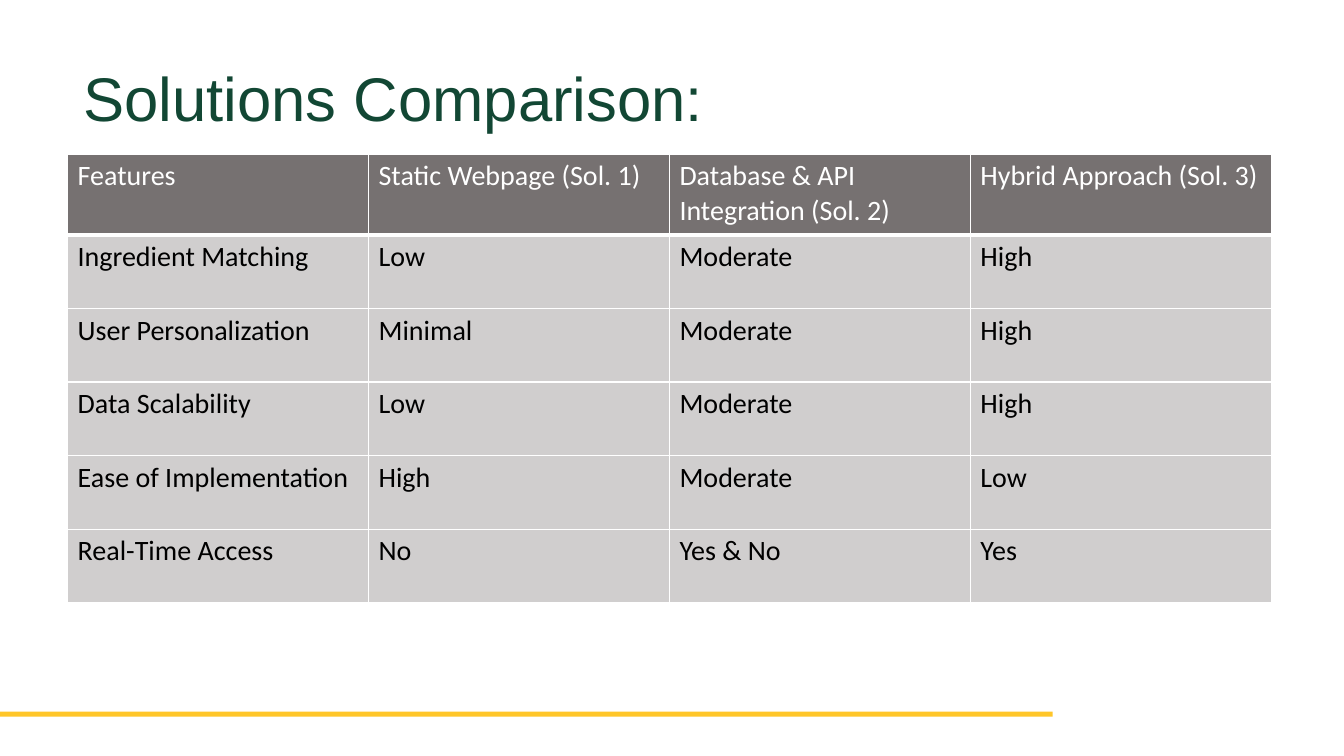
from lxml import etree
from pptx import Presentation
from pptx.dml.color import RGBColor
from pptx.enum.shapes import MSO_SHAPE
from pptx.enum.text import MSO_ANCHOR
from pptx.oxml.ns import qn
from pptx.util import Inches, Pt

# Content
TITLE = "Solutions Comparison:"
ROWS = [
    ("Features", "Static Webpage (Sol. 1)", "Database & API Integration (Sol. 2)",
     "Hybrid Approach (Sol. 3)"),
    ("Ingredient Matching", "Low", "Moderate", "High"),
    ("User Personalization", "Minimal", "Moderate", "High"),
    ("Data Scalability", "Low", "Moderate", "High"),
    ("Ease of Implementation", "High", "Moderate", "Low"),
    ("Real-Time Access", "No", "Yes & No", "Yes"),
]

# Style
GREEN = RGBColor(0x12, 0x47, 0x34)
GOLD = RGBColor(0xFF, 0xC6, 0x29)
WHITE = RGBColor(0xFF, 0xFF, 0xFF)
BLACK = RGBColor(0, 0, 0)
HEADER_GRAY = RGBColor(0x76, 0x71, 0x71)
BODY_GRAY = RGBColor(0xD0, 0xCE, 0xCE)
RECTANGLE = MSO_SHAPE.RECTANGLE
MIDDLE = MSO_ANCHOR.MIDDLE

# Layout, in inches
TABLE_WIDTH = 11.94
HEADER_HEIGHT, ROW_HEIGHT = 0.8, 0.73


def write_text(text_frame, text, *, font, size, color, line_spacing=None):
    text_frame.word_wrap = True
    paragraph = text_frame.paragraphs[0]
    paragraph.line_spacing = line_spacing
    run = paragraph.add_run()
    run.text = text
    run.font.name = font
    run.font.size = Pt(size)
    run.font.color.rgb = color


def add_borders(cell, **widths):
    properties = cell._tc.get_or_add_tcPr()
    for side in "LRTB":
        line = etree.SubElement(properties, qn(f"a:ln{side}"), w=str(Pt(widths.get(side, 1))))
        fill = etree.SubElement(line, qn("a:solidFill"))
        etree.SubElement(fill, qn("a:srgbClr"), val=str(WHITE))


presentation = Presentation()
presentation.slide_width = Inches(13.33)
presentation.slide_height = Inches(7.5)
slide = presentation.slides.add_slide(presentation.slide_layouts[6])

# Gold footer bar
bar = slide.shapes.add_shape(RECTANGLE, 0, Inches(7.06), Inches(10.44), Inches(0.05))
bar.shadow.inherit = False
bar.fill.solid()
bar.fill.fore_color.rgb = GOLD
bar.line.fill.background()

# Title
title = slide.shapes.add_textbox(Inches(0.73), Inches(0.6), Inches(11.87), Inches(0.82))
title.text_frame.vertical_anchor = MIDDLE
write_text(title.text_frame, TITLE, font="Arial", size=44, color=GREEN, line_spacing=0.9)

# Comparison table
table_height = HEADER_HEIGHT + ROW_HEIGHT * (len(ROWS) - 1)
table = slide.shapes.add_table(len(ROWS), len(ROWS[0]), Inches(0.67), Inches(1.53),
                               Inches(TABLE_WIDTH), Inches(table_height)).table
for column in table.columns:
    column.width = Inches(TABLE_WIDTH / len(ROWS[0]))

for row_index, texts in enumerate(ROWS):
    is_header = row_index == 0
    table.rows[row_index].height = Inches(HEADER_HEIGHT if is_header else ROW_HEIGHT)
    for column_index, text in enumerate(texts):
        cell = table.cell(row_index, column_index)
        add_borders(cell, T=3 if row_index == 1 else 1, B=3 if is_header else 1)
        cell.fill.solid()
        cell.fill.fore_color.rgb = HEADER_GRAY if is_header else BODY_GRAY
        write_text(cell.text_frame, text, font="Calibri", size=20,
                   color=WHITE if is_header else BLACK)

presentation.save("out.pptx")
